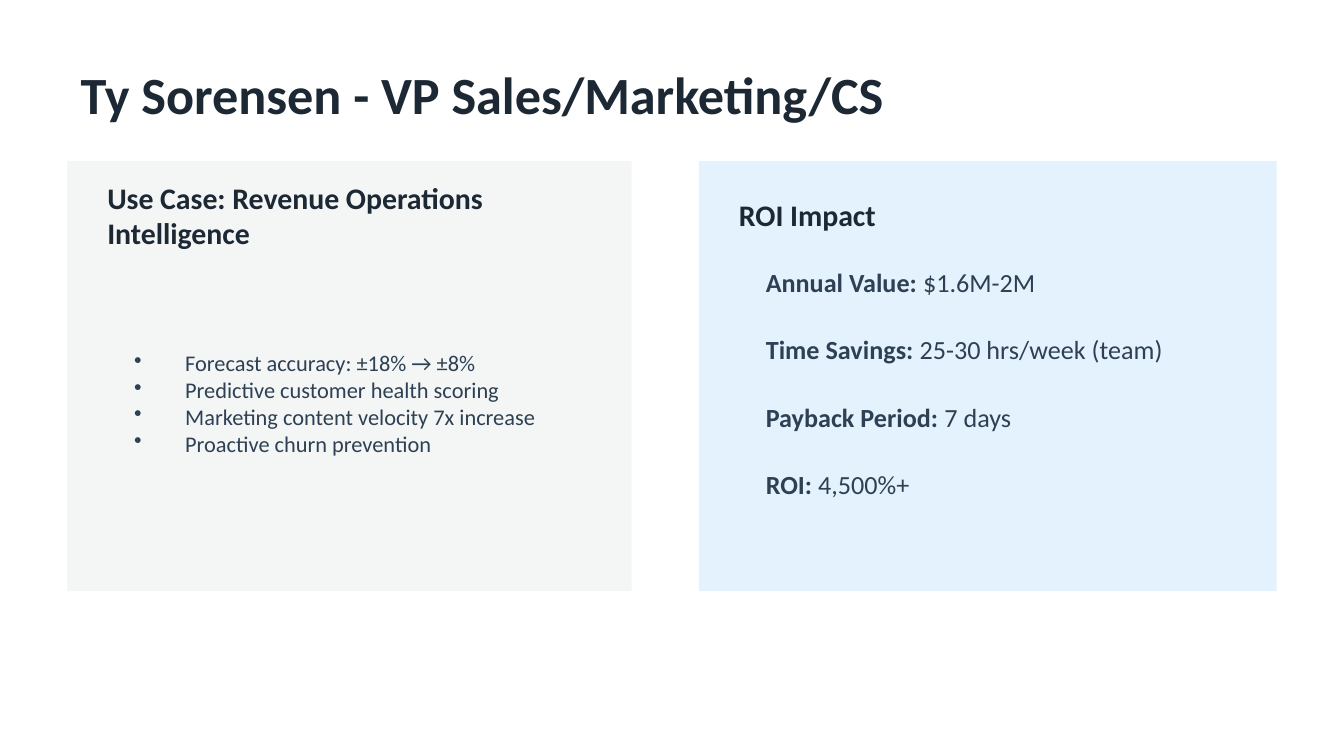
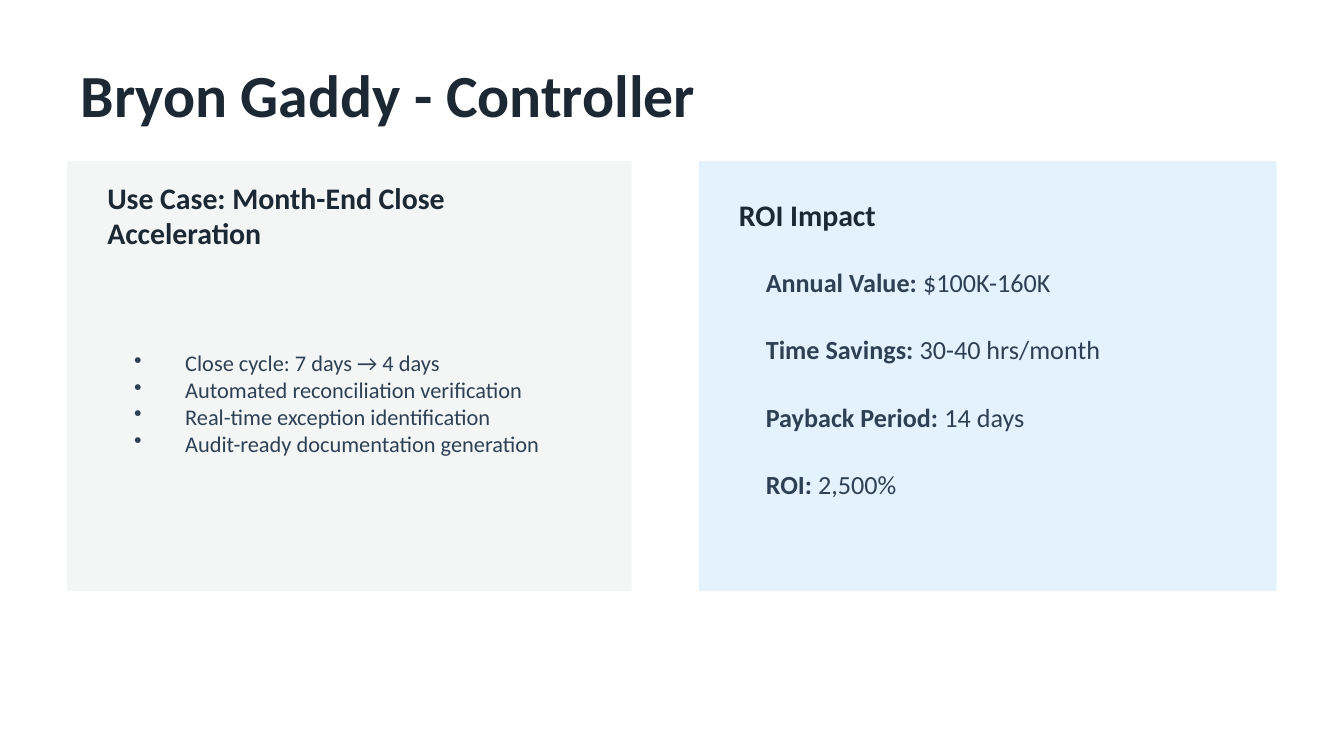
from collections import namedtuple

from lxml.etree import SubElement
from pptx import Presentation
from pptx.dml.color import RGBColor
from pptx.enum.shapes import MSO_SHAPE
from pptx.enum.text import MSO_ANCHOR, MSO_AUTO_SIZE, PP_ALIGN
from pptx.oxml.ns import qn
from pptx.util import Inches, Pt

FONT = "Calibri"
COLORS = {
    "heading": "1C2833",
    "body": "2E4053",
    "use_case": "F4F6F6",
    "roi": "E3F2FD",
}
SLIDE_WIDTH = Inches(10)
SLIDE_HEIGHT = SLIDE_WIDTH * 9 // 16
GRID = SLIDE_WIDTH // 100
TITLE_ONLY = 5
BULLET_INDENT = Inches(0.38)

Box = namedtuple("Box", "column row columns rows")
TITLE_BOX = Box(5, 4, 90, 6)
USE_CASE_BOX = Box(5, 12, 42, 32)
ROI_BOX = Box(52, 12, 43, 32)

ROI_LABELS = ["Annual Value: ", "Time Savings: ", "Payback Period: ", "ROI: "]
PROFILES = [
    {
        "title": "Ty Sorensen - VP Sales/Marketing/CS",
        "title_size": 28,
        "use_case": "Use Case: Revenue Operations Intelligence",
        "benefits": [
            "Forecast accuracy: ±18% → ±8%",
            "Predictive customer health scoring",
            "Marketing content velocity 7x increase",
            "Proactive churn prevention",
        ],
        "roi": ["$1.6M-2M", "25-30 hrs/week (team)", "7 days", "4,500%+"],
    },
    {
        "title": "Bryon Gaddy - Controller",
        "title_size": 32,
        "use_case": "Use Case: Month-End Close Acceleration",
        "benefits": [
            "Close cycle: 7 days → 4 days",
            "Automated reconciliation verification",
            "Real-time exception identification",
            "Audit-ready documentation generation",
        ],
        "roi": ["$100K-160K", "30-40 hrs/month", "14 days", "2,500%"],
    },
]


def color(name):
    return RGBColor.from_string(COLORS[name])


def place(box):
    return [GRID * length for length in box]


def inside(box, left, top, right, rows):
    return Box(box.column + left, box.row + top, box.columns - left - right, rows)


def format_frame(frame):
    frame.word_wrap = True
    frame.auto_size = MSO_AUTO_SIZE.NONE
    frame.vertical_anchor = MSO_ANCHOR.MIDDLE


def format_paragraph(paragraph, size, color_name, bold=None):
    paragraph.alignment = PP_ALIGN.LEFT
    font = paragraph.font
    font.name = FONT
    font.size = Pt(size)
    font.bold = bold
    font.color.rgb = color(color_name)


def add_text_frame(slide, box):
    frame = slide.shapes.add_textbox(*place(box)).text_frame
    format_frame(frame)
    return frame


def add_bullet(paragraph):
    properties = paragraph._p.get_or_add_pPr()
    properties.set("marL", str(BULLET_INDENT))
    properties.set("indent", str(-BULLET_INDENT))
    SubElement(properties, qn("a:buSzPct")).set("val", "100000")
    SubElement(properties, qn("a:buChar")).set("char", "•")


def add_title(slide, box, text, size):
    title = slide.shapes.title
    title.left, title.top, title.width, title.height = place(box)
    format_frame(title.text_frame)
    title.text_frame.text = text
    format_paragraph(title.text_frame.paragraphs[0], size, "heading", True)


def add_panel(slide, box, fill_name, heading):
    panel = slide.shapes.add_shape(MSO_SHAPE.RECTANGLE, *place(box))
    panel.shadow.inherit = False
    panel.fill.solid()
    panel.fill.fore_color.rgb = color(fill_name)
    panel.line.fill.background()
    frame = add_text_frame(slide, inside(box, 2, 2, 2, 4))
    frame.text = heading
    format_paragraph(frame.paragraphs[0], 16, "heading", True)


def add_use_case(slide, box, heading, benefits):
    add_panel(slide, box, "use_case", heading)
    frame = add_text_frame(slide, inside(box, 4, 7, 2, 22))
    frame.text = "\n".join(benefits)
    for paragraph in frame.paragraphs:
        add_bullet(paragraph)
        format_paragraph(paragraph, 12, "body")


def add_roi(slide, box, values):
    add_panel(slide, box, "roi", "ROI Impact")
    for index, (label, value) in enumerate(zip(ROI_LABELS, values)):
        frame = add_text_frame(slide, inside(box, 4, 7 + 5 * index, 2, 4))
        paragraph = frame.paragraphs[0]
        format_paragraph(paragraph, 14, "body")
        label_run = paragraph.add_run()
        label_run.text = label
        label_run.font.bold = True
        paragraph.add_run().text = value


def add_profile_slide(presentation, profile):
    slide = presentation.slides.add_slide(presentation.slide_layouts[TITLE_ONLY])
    add_title(slide, TITLE_BOX, profile["title"], profile["title_size"])
    add_use_case(slide, USE_CASE_BOX, profile["use_case"], profile["benefits"])
    add_roi(slide, ROI_BOX, profile["roi"])


def main():
    presentation = Presentation()
    presentation.slide_width = SLIDE_WIDTH
    presentation.slide_height = SLIDE_HEIGHT
    for profile in PROFILES:
        add_profile_slide(presentation, profile)
    presentation.save("out.pptx")


if __name__ == "__main__":
    main()
